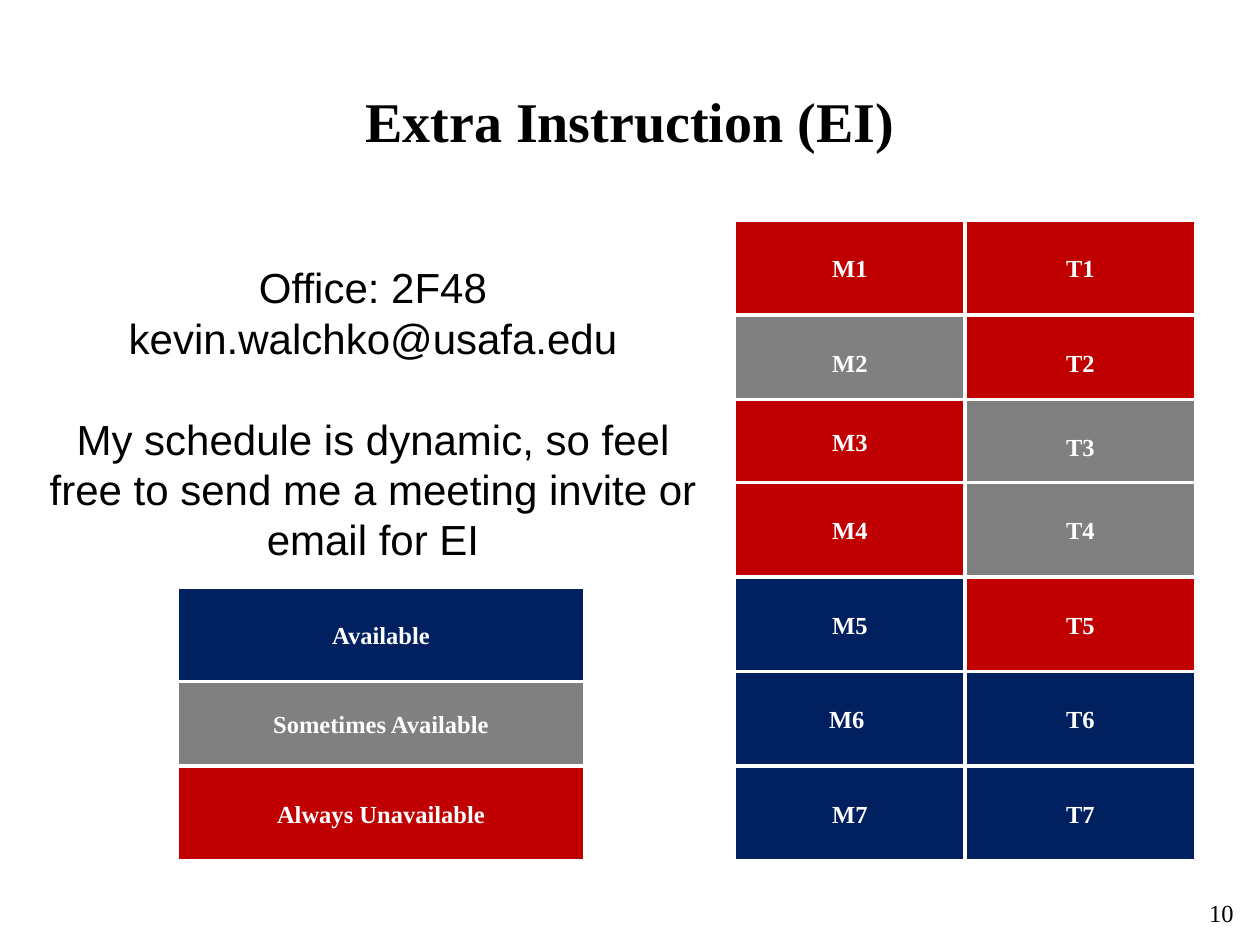
from dataclasses import dataclass
from pptx import Presentation
from pptx.dml.color import RGBColor as Rgb
from pptx.enum.shapes import MSO_SHAPE as Shape
from pptx.enum.text import MSO_ANCHOR as Anchor, PP_ALIGN as Align
from pptx.util import Inches, Pt


@dataclass(frozen=True)
class Theme:
    """Colours, fonts and type sizes of the slide."""
    ink: Rgb = Rgb(0, 0, 0)
    paper: Rgb = Rgb(255, 255, 255)
    free: Rgb = Rgb(0x00, 0x20, 0x60)
    some: Rgb = Rgb(0x80, 0x80, 0x80)
    busy: Rgb = Rgb(0xC0, 0x00, 0x00)
    serif: str = "Times New Roman"
    sans: str = "Arial"
    head: Pt = Pt(32)
    body: Pt = Pt(24)
    label: Pt = Pt(14)
    lead: Pt = Pt(28.8)
    rule: Pt = Pt(2)


THEME = Theme()
ROWS = [
    ("M1", THEME.busy, "T1", THEME.busy),
    ("M2", THEME.some, "T2", THEME.busy),
    ("M3", THEME.busy, "T3", THEME.some),
    ("M4", THEME.busy, "T4", THEME.some),
    ("M5", THEME.free, "T5", THEME.busy),
    ("M6 ", THEME.free, "T6", THEME.free),
    ("M7", THEME.free, "T7", THEME.free),
]
TOPS = [1.75, 2.5, 3.17, 3.83, 4.58, 5.33, 6.08]
TALL, SHORT = 0.75, 0.67


def write(para, text, size, face, color, bold=False, align=Align.CENTER):
    """Add one styled run to a paragraph."""
    para.alignment = align
    run = para.add_run()
    run.text = text
    font = run.font
    font.size, font.name, font.bold = size, face, bold
    font.color.rgb = color


def frame(slide, box, anchor=Anchor.TOP):
    """Add a wrapping text box and return its text frame."""
    text = slide.shapes.add_textbox(*map(Inches, box)).text_frame
    text.word_wrap = True
    text.vertical_anchor = anchor
    return text


def title(slide, box):
    """Place the slide title."""
    text = frame(slide, box, Anchor.MIDDLE)
    write(text.paragraphs[0], "Extra Instruction (EI)", THEME.head,
          THEME.serif, THEME.ink, True)


def block(slide, box, text, fill):
    """Place one labelled rectangle."""
    rect = slide.shapes.add_shape(Shape.RECTANGLE, *map(Inches, box))
    rect.shadow.inherit = False
    rect.fill.solid()
    rect.fill.fore_color.rgb = fill
    rect.line.color.rgb = THEME.paper
    rect.line.width = THEME.rule
    rect.text_frame.vertical_anchor = Anchor.MIDDLE
    write(rect.text_frame.paragraphs[0], text, THEME.label, THEME.serif,
          THEME.paper, True)


def periods(slide, left, width):
    """Place the two columns of class periods."""
    for top, (mon, mfill, tue, tfill) in zip(TOPS, ROWS):
        high = SHORT if mon == "M3" else TALL
        block(slide, (left, top, width, high), mon, mfill)
        block(slide, (left + width, top, width, TALL), tue, tfill)


def legend(slide, left, top, width):
    """Place the stacked key to the colours."""
    for text, fill, high in (
        ("Available", THEME.free, TALL),
        ("Sometimes Available", THEME.some, SHORT),
        ("Always Unavailable", THEME.busy, TALL),
    ):
        block(slide, (left, top, width, high), text, fill)
        top += high


def contact(slide, box):
    """Place the office, address and invitation lines."""
    text = frame(slide, box)
    lines = (
        ("Office: 2F48", 0),
        ("kevin.walchko@usafa.edu", 0),
        ("My schedule is dynamic, so feel free to send me a meeting "
         "invite or email for EI", THEME.lead),
    )
    for num, (line, gap) in enumerate(lines):
        para = text.add_paragraph() if num else text.paragraphs[0]
        para.line_spacing = THEME.lead
        para.space_before = gap
        write(para, line, THEME.body, THEME.sans, THEME.ink)


def number(slide, box):
    """Place the page number at the foot."""
    text = frame(slide, box, Anchor.BOTTOM)
    text.margin_bottom = 0
    write(text.paragraphs[0], "10", THEME.label, THEME.serif, THEME.ink,
          align=Align.RIGHT)


def main():
    """Build and save the slide."""
    deck = Presentation()
    deck.slide_width, deck.slide_height = Inches(10), Inches(7.5)
    slide = deck.slides.add_slide(deck.slide_layouts[6])
    title(slide, (0.5, 0.33, 9, 1.25))
    periods(slide, 5.83, 1.83)
    contact(slide, (0.25, 2.03, 5.42, 2.52))
    legend(slide, 1.41, 4.66, 3.23)
    number(slide, (7.56, 6.84, 2.33, 0.52))
    deck.save("out.pptx")


if __name__ == "__main__":
    main()
